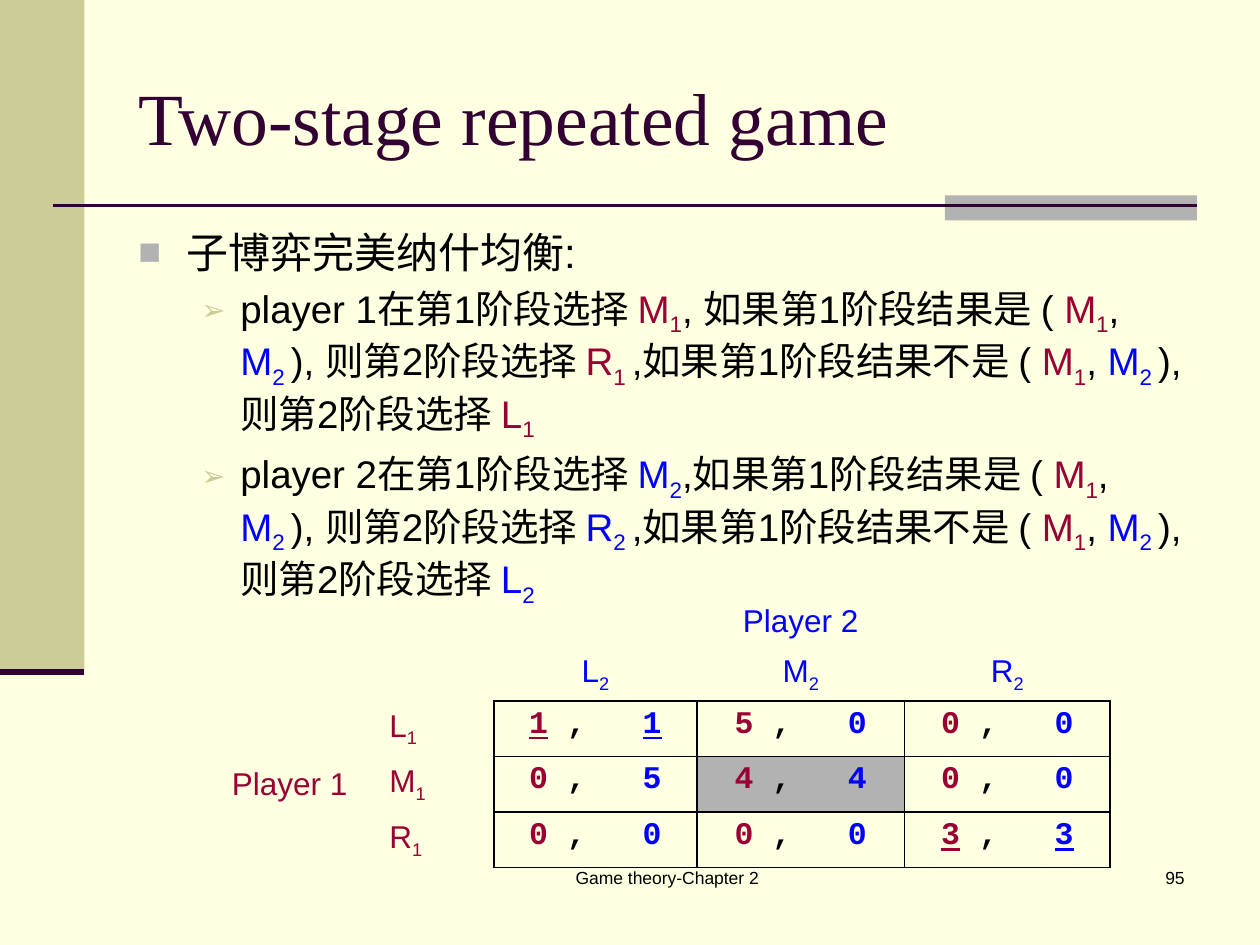
from pptx import Presentation
from pptx.dml.color import RGBColor
from pptx.enum.shapes import MSO_CONNECTOR, MSO_SHAPE
from pptx.enum.text import MSO_ANCHOR, PP_ALIGN
from pptx.oxml.ns import qn
from pptx.util import Inches, Pt
from lxml.etree import SubElement, Element

CREAM = RGBColor(0xFF, 0xFF, 0xE1)
KHAKI = RGBColor(0xCC, 0xCC, 0x99)
GRAY = RGBColor(0xB2, 0xB2, 0xB2)
PLUM = RGBColor(0x33, 0x00, 0x33)
BLACK = RGBColor(0x00, 0x00, 0x00)
RED = RGBColor(0x99, 0x00, 0x33)
BLUE = RGBColor(0x00, 0x00, 0xFF)
PLAYER_COLORS = {"1": RED, "2": BLUE}


def add_span(para, text, size=18, color=BLACK, font="Arial", bold=False, underline=False):
    """Add text; a move such as M1 gets its player's colour and a subscript."""
    is_move = text[0] in "LMR"
    if is_move:
        color = PLAYER_COLORS[text[1]]
    for index, part in enumerate([text[0], text[1:]] if is_move else [text]):
        span = para.add_run()
        span.text = part
        span.font.size = Pt(size)
        span.font.name = font
        span.font.bold = bold
        span.font.underline = underline
        span.font.color.rgb = color
        if index == 1:
            span.font._element.set("baseline", "-25000")


def set_bullet(para, char, color, percent, left, hanging):
    props = para._p.get_or_add_pPr()
    props.set("marL", str(Inches(left)))
    props.set("indent", str(-Inches(hanging)))
    bullet_color = SubElement(props, qn("a:buClr"))
    SubElement(bullet_color, qn("a:srgbClr"), val=str(color))
    SubElement(props, qn("a:buSzPct"), val=str(percent * 1000))
    SubElement(props, qn("a:buFont"), typeface="Arial")
    SubElement(props, qn("a:buChar"), char=char)


deck = Presentation()
deck.slide_width, deck.slide_height = Inches(10), Inches(7.5)
page = deck.slides.add_slide(deck.slide_layouts[5])
page.background.fill.solid()
page.background.fill.fore_color.rgb = CREAM

# Side bar and accent block
for left, top, width, height, color in [(0, 0, 0.67, 5.33, KHAKI), (7.5, 1.55, 2, 0.2, GRAY)]:
    block = page.shapes.add_shape(
        MSO_SHAPE.RECTANGLE, Inches(left), Inches(top), Inches(width), Inches(height))
    block.shadow.inherit = False
    block.fill.solid()
    block.fill.fore_color.rgb = color
    block.line.fill.background()

# Rules under the title and the side bar
for start, end, y, weight in [(0.42, 9.5, 1.63, 1.5), (0, 0.67, 5.33, 3.5)]:
    rule = page.shapes.add_connector(
        MSO_CONNECTOR.STRAIGHT, Inches(start), Inches(y), Inches(end), Inches(y))
    rule.line.color.rgb = PLUM
    rule.line.width = Pt(weight)
    SubElement(rule._element.spPr, qn("a:effectLst"))

# Title
title = page.shapes.title
title.left, title.top, title.width, title.height = Inches(1), Inches(0.3), Inches(8.5), Inches(1.25)
title.text_frame.vertical_anchor = MSO_ANCHOR.MIDDLE
para = title.text_frame.paragraphs[0]
para.alignment = PP_ALIGN.LEFT
add_span(para, "Two-stage repeated game", size=42, color=PLUM, font="Times New Roman")

# Footer and page number
for left, width, align, text in [
    (3.67, 3.25, PP_ALIGN.CENTER, "Game theory-Chapter 2"),
    (7.42, 2.08, PP_ALIGN.RIGHT, "95"),
]:
    box = page.shapes.add_textbox(Inches(left), Inches(6.83), Inches(width), Inches(0.5))
    box.text_frame.word_wrap = True
    para = box.text_frame.paragraphs[0]
    para.alignment = align
    add_span(para, text, size=10)

# Payoff table
table = page.shapes.add_table(
    5, 5, Inches(1.74), Inches(4.72), Inches(7.07), Inches(2.06)).table
table.first_row = table.horz_banding = False
for column, width in zip(table.columns, [1.25, 0.93, 1.61, 1.65, 1.63]):
    column.width = Inches(width)
for row, height in zip(table.rows, [0.4, 0.4, 0.42, 0.42, 0.42]):
    row.height = Inches(height)

for row in range(5):
    for column in range(5):
        cell = table.cell(row, column)
        cell.fill.background()
        props = cell._tc.get_or_add_tcPr()
        is_payoff = row > 1 and column > 1
        edges = {
            "a:lnL": is_payoff,
            "a:lnR": is_payoff or (row > 1 and column == 1),
            "a:lnT": is_payoff,
            "a:lnB": is_payoff or (row == 1 and column > 1),
        }
        for index, (tag, visible) in enumerate(edges.items()):
            edge = Element(qn(tag), w=str(Pt(1)))
            props.insert(index, edge)
            if visible:
                fill = SubElement(edge, qn("a:solidFill"))
                SubElement(fill, qn("a:srgbClr"), val=str(BLACK))
            else:
                SubElement(edge, qn("a:noFill"))

# Player and move labels
table.cell(2, 0).merge(table.cell(4, 0))
labels = {(0, 3): "Player 2", (2, 0): "Player 1"}
for index, move in enumerate("LMR"):
    labels[1, index + 2] = move + "2"
    labels[index + 2, 1] = move + "1"
for (row, column), text in labels.items():
    cell = table.cell(row, column)
    cell.vertical_anchor = MSO_ANCHOR.BOTTOM if row < 2 else MSO_ANCHOR.MIDDLE
    para = cell.text_frame.paragraphs[0]
    para.alignment = PP_ALIGN.CENTER if row < 2 else PP_ALIGN.LEFT
    add_span(para, text, color=PLAYER_COLORS[text[-1]])

# Payoffs, with the stage-game equilibria underlined
payoffs = [["11", "50", "00"], ["05", "44", "00"], ["00", "00", "33"]]
for row, line in enumerate(payoffs, 2):
    for column, (first, second) in enumerate(line, 2):
        para = table.cell(row, column).text_frame.paragraphs[0]
        para.alignment = PP_ALIGN.CENTER
        stable = first + second in ("11", "33")
        for text, color, underline in [
            (first, RED, stable), (" ,   ", BLACK, False), (second, BLUE, stable),
        ]:
            add_span(para, text, color=color, font="Courier New", bold=True, underline=underline)
best = table.cell(3, 3)
best.fill.solid()
best.fill.fore_color.rgb = GRAY

# Equilibrium strategies
box = page.shapes.add_textbox(Inches(1), Inches(1.75), Inches(8.5), Inches(2.91))
box.text_frame.word_wrap = True
para = box.text_frame.paragraphs[0]
set_bullet(para, "■", GRAY, 90, 0.38, 0.38)
add_span(para, "子博弈完美纳什均衡:", size=24)
outcome = ["M1", ", ", "M2 ", "), 则第2阶段选择 "]
for player, comma in [("1", ", "), ("2", ",")]:
    para = box.text_frame.add_paragraph()
    para.level = 1
    para.space_before = Pt(4.4)
    set_bullet(para, "➢", KHAKI, 75, 0.81, 0.31)
    for text in [
        f"player {player}在第1阶段选择 ", "M" + player, comma + "如果第1阶段结果是 ( ", *outcome,
        f"R{player} ", ",如果第1阶段结果不是 ( ", *outcome, "L" + player,
    ]:
        add_span(para, text, size=22)

deck.save("out.pptx")
